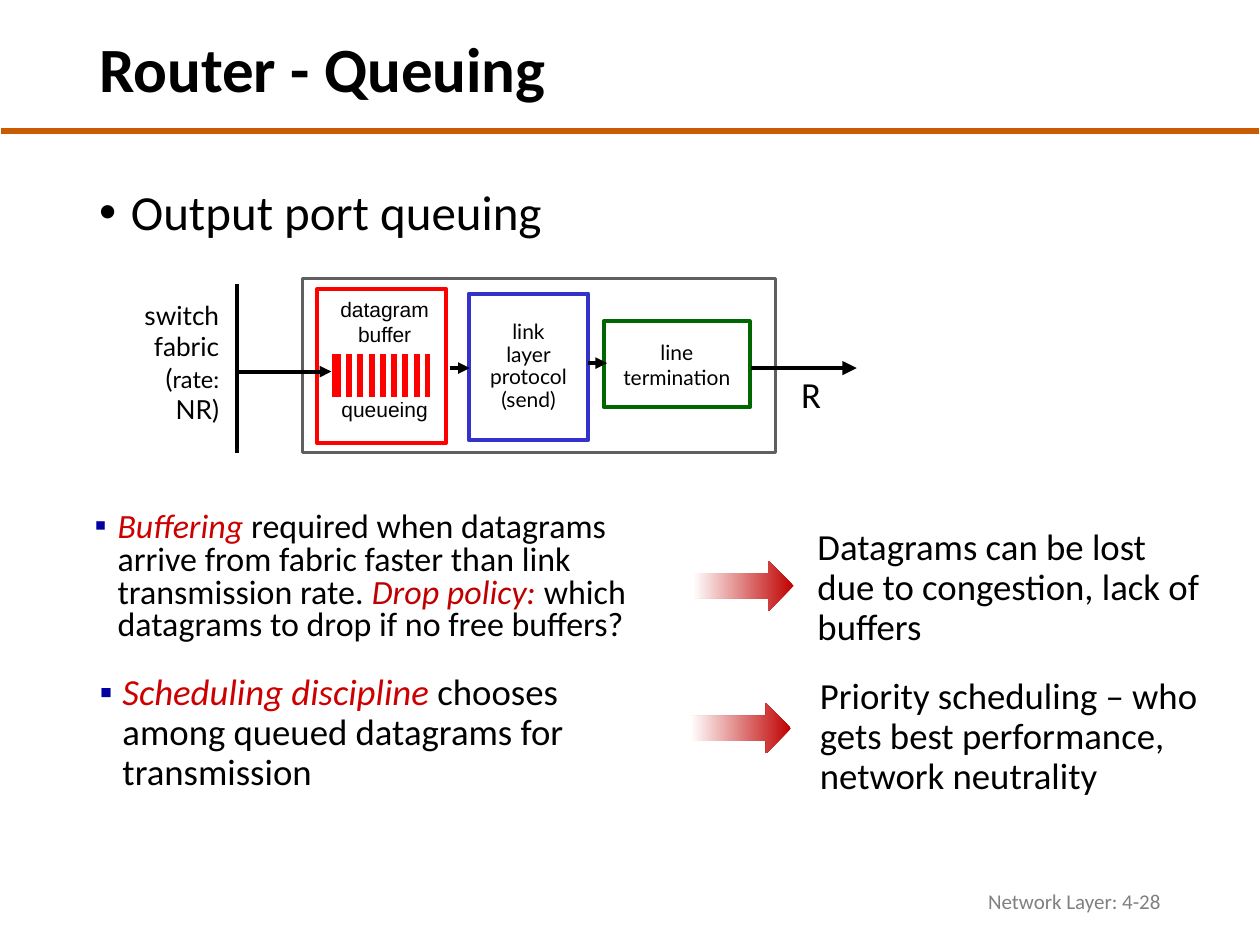
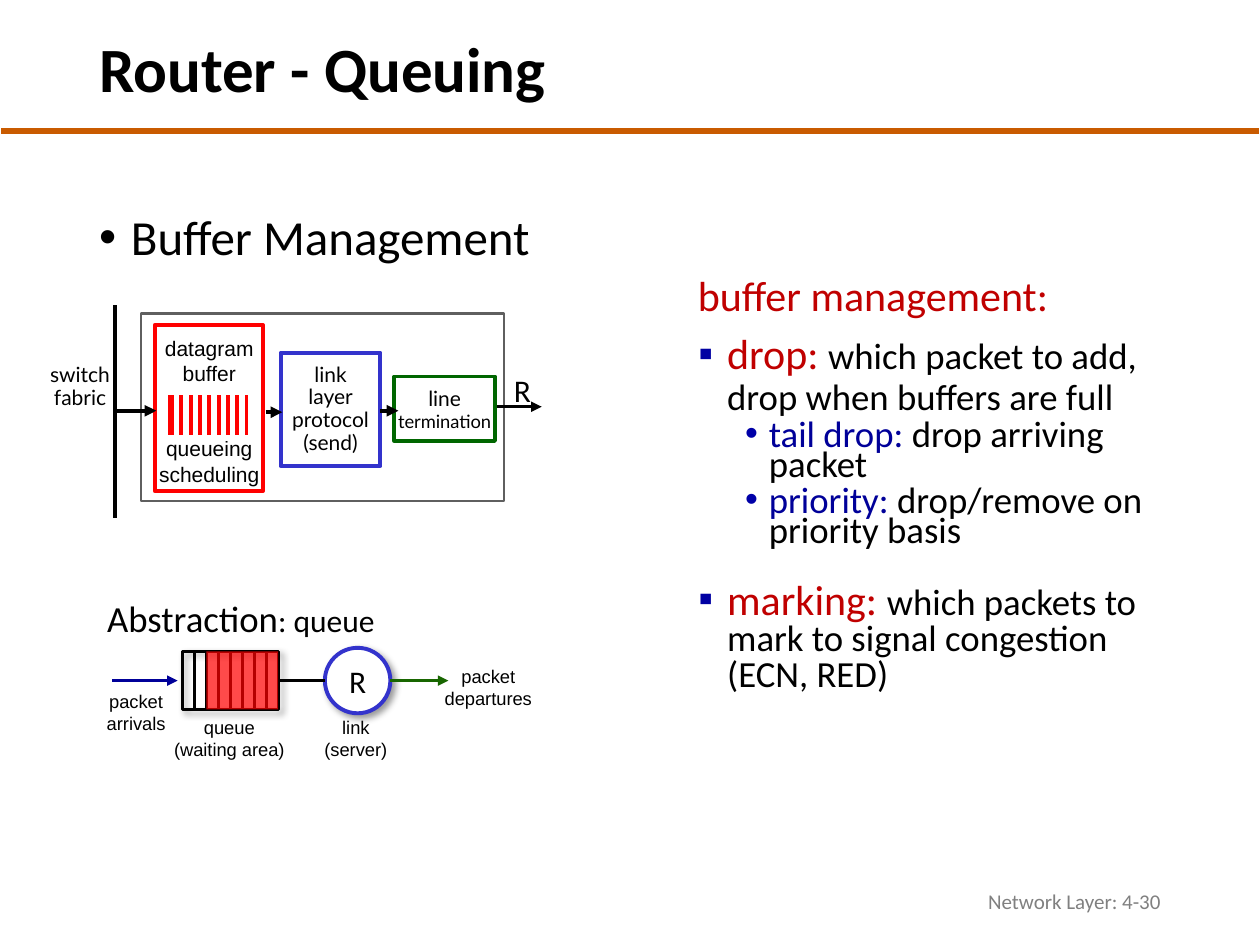
from lxml import etree
from pptx import Presentation
from pptx.dml.color import RGBColor
from pptx.enum.shapes import MSO_CONNECTOR, MSO_SHAPE
from pptx.enum.text import MSO_ANCHOR, PP_ALIGN
from pptx.oxml.ns import qn
from pptx.util import Cm, Pt

LEFT, CENTER, RIGHT = PP_ALIGN.LEFT, PP_ALIGN.CENTER, PP_ALIGN.RIGHT
TOP, MIDDLE = MSO_ANCHOR.TOP, MSO_ANCHOR.MIDDLE
RECT, OVAL, ARROW = MSO_SHAPE.RECTANGLE, MSO_SHAPE.OVAL, MSO_SHAPE.RIGHT_ARROW
STRAIGHT = MSO_CONNECTOR.STRAIGHT


class Theme:
    BODY, DIAGRAM, PLAIN = "Calibri", "Lato", "Arial"
    BLACK, WHITE, GREY, FRAME = "000000", "FFFFFF", "808080", "5F5F5F"
    RULE, RED, CRIMSON, ACCENT = "C95B00", "FF0000", "CC0000", "C00000"
    BLUE, NAVY, BULLET, SUBBULLET = "3333CC", "000099", "0000A3", "0000A8"
    GREEN, DEPARTURE = "006600", "186600"
    TITLE, TOPIC, TERM, TEXT, NOTE = 36, 28, 24, 21, 18
    DENSE, FABRIC, RATE, LABEL, CAPTION = 19.4, 15, 13.5, 12, 10.5


# Content: a paragraph is a string or a dict of runs plus its own format
TITLE = "Router - Queuing"
TIGHT = (0.18, 0.1)
SQUARE = dict(bullet="▪", bullet_color=Theme.BULLET)
SUBPOINT = dict(bullet="•", bullet_color=Theme.SUBBULLET, indent=(1.45, -0.48),
                spacing=Pt(17.1), before=3.8)
TERM = dict(color=Theme.ACCENT, size=Theme.TERM)
KEY = dict(color=Theme.CRIMSON, italic=True)
LINK_STAGE = ["link", "layer", "protocol", "(send)"]

POINTS = [
    ((1.45, 10.24, 12.45, 2.95), Theme.DENSE, 0.8, [
        ("Buffering", KEY),
        " required when datagrams arrive from fabric faster than link transmission rate. ",
        ("Drop policy: ", dict(color=Theme.ACCENT, italic=True)),
        "which datagrams to drop if no free buffers?"]),
    ((1.55, 13.49, 10.69, 2.69), Theme.TEXT, 0.9, [
        ("Scheduling discipline", KEY),
        " chooses among queued datagrams for transmission"]),
]
CONSEQUENCES = [
    ((13.97, 11.3), (16.23, 10.54, 8.23, 2.69),
     "Datagrams can be lost due to congestion, lack of buffers"),
    ((13.92, 14.17), (16.28, 13.54, 8.74, 2.69),
     "Priority scheduling – who gets best performance, network neutrality"),
]
BUFFER_MANAGEMENT = [
    dict(runs=[("buffer management:", TERM)], indent=(0.48, -0.46)),
    dict(runs=[("drop: ", TERM), "which packet to add, drop when buffers are full"],
         indent=(0.61, -0.58), **SQUARE),
    dict(runs=[("tail drop: ", dict(color=Theme.NAVY)), "drop arriving packet"], **SUBPOINT),
    dict(runs=[("priority: ", dict(color=Theme.NAVY)), "drop/remove on priority basis"],
         **SUBPOINT),
]
MARKING = [dict(runs=[("marking: ", TERM),
                      "which packets to mark to signal congestion (ECN, RED)"],
                indent=(0.84, -0.58), **SQUARE)]

# Output ports: boxes are left, top, width, height; arrows are x1, x2, y, weight
QUEUING_PORT = dict(
    frame=(6.1, 5.61, 9.53, 3.51),
    buffer=(6.4, 5.82, 2.59, 3.12),
    link=(9.45, 5.92, 2.41, 2.95),
    line=(12.17, 6.48, 2.95, 1.73),
    line_text=["line", "termination"],
    queue=(6.65, 7.09, 2.08, 0.97),
    buffer_labels=[((6.6, 5.84, 2.31, 1.2), ["datagram", "buffer"]),
                   ((6.6, 7.87, 2.31, 0.75), ["queueing"])],
    fabric=(2.46, 6.43, 2.21, 1.73),
    fabric_text=["switch", "fabric",
                 dict(runs=["(", ("rate: ", dict(size=Theme.RATE)), "NR)"])],
    fabric_format=dict(size=Theme.FABRIC, align=RIGHT),
    bar=(4.78, 5.72, 9.14),
    arrows=[(4.75, 6.68, 7.49, 2.25), (9.07, 9.47, 7.42, 2.25),
            (11.86, 12.24, 7.32, 2.25), (15.14, 17.27, 7.42, 2.75)],
    rate=(15.9, 7.37, 1.14, 1.14), rate_size=Theme.TEXT)
BUFFER_PORT = dict(
    frame=(2.84, 6.32, 7.32, 3.78),
    buffer=(3.12, 6.55, 2.18, 3.35),
    link=(5.66, 7.11, 2.01, 2.29),
    line=(7.95, 7.59, 2.03, 1.3),
    line_text=["line", dict(runs=[("termination", dict(size=Theme.CAPTION))])],
    queue=(3.33, 7.92, 1.73, 0.91),
    buffer_labels=[((2.95, 6.63, 2.54, 1.2), ["datagram", "buffer"]),
                   ((2.95, 8.66, 2.54, 1.2), ["queueing", "scheduling"])],
    fabric=(0.69, 6.99, 1.85, 1.63),
    fabric_text=["switch", "fabric"],
    fabric_format=dict(size=Theme.LABEL, align=CENTER, spacing=0.9),
    bar=(2.31, 6.15, 10.44),
    arrows=[(2.29, 3.15, 8.28, 2.25), (5.36, 5.69, 8.31, 2.25),
            (7.67, 8.03, 8.28, 2.25), (10.01, 10.92, 8.2, 2)],
    rate=(10.11, 7.34, 0.86, 1.02), rate_size=Theme.NOTE)

# Abstract queue
WAITING_AREA, CELLS, FREE_CELLS = (3.68, 13.13, 1.93, 1.17), 8, 2
SERVER = (6.55, 13.06, 1.32, 1.32)
FLOW_Y = 13.72
FLOWS = [(2.26, 3.58, Theme.NAVY, True), (5.64, 6.55, Theme.BLACK, False),
         (7.87, 9.04, Theme.DEPARTURE, True)]
QUEUE_CAPTIONS = [
    ((3.23, 14.3, 2.79, 1.14), ["queue", "(waiting area)"]),
    ((1.88, 13.79, 1.73, 1.14), ["packet", "arrivals"]),
    ((8.69, 13.28, 2.31, 1.14), ["packet", "departures"]),
    ((6.22, 14.3, 1.91, 1.14), ["link", "(server)"]),
]
ABSTRACTION = [dict(runs=["Abstraction", (": queue", dict(size=Theme.NOTE))])]


# Drawing helpers
def cm(lengths):
    return [Cm(length) for length in lengths]


def rgb(color):
    return RGBColor.from_string(color)


def add_xml(parent, tag, **attributes):
    return etree.SubElement(parent, qn(tag), {k: str(v) for k, v in attributes.items()})


def set_bullet(paragraph, bullet, color):
    props = paragraph._p.get_or_add_pPr()
    if color:
        add_xml(add_xml(props, "a:buClr"), "a:srgbClr", val=color)
    add_xml(props, "a:buFont", typeface="Arial")
    add_xml(props, "a:buChar", char=bullet)


def write(shape, paragraphs, anchor=TOP, wrap=True, inset=(0.25, 0.13), **shared):
    """Fill a shape with paragraphs; later formats override the shared one."""
    frame = shape.text_frame
    frame.word_wrap, frame.vertical_anchor = wrap, anchor
    frame.margin_left = frame.margin_right = Cm(inset[0])
    frame.margin_top = frame.margin_bottom = Cm(inset[1])
    for i, content in enumerate(paragraphs):
        if isinstance(content, str):
            content = dict(runs=[content])
        style = {**shared, **content}
        paragraph = frame.add_paragraph() if i else frame.paragraphs[0]
        paragraph.alignment = style.get("align", LEFT)
        paragraph.line_spacing = style.get("spacing", 1.0)
        paragraph.space_before = Pt(style.get("before", 0) if i else 0)
        if "indent" in style:
            margin, first = cm(style["indent"])
            props = paragraph._p.get_or_add_pPr()
            props.set("marL", str(margin))
            props.set("indent", str(first))
        if "bullet" in style:
            set_bullet(paragraph, style["bullet"], style.get("bullet_color"))
        for run_content in style["runs"]:
            text, own = (run_content, {}) if isinstance(run_content, str) else run_content
            look = {**style, **own}
            run = paragraph.add_run()
            run.text = text
            run.font.name = look.get("font", Theme.BODY)
            run.font.size = Pt(look.get("size", Theme.TEXT))
            run.font.bold = look.get("bold", False)
            run.font.italic = look.get("italic", False)
            run.font.color.rgb = rgb(look.get("color", Theme.BLACK))


def add_text(slide, box, paragraphs, **style):
    write(slide.shapes.add_textbox(*cm(box)), paragraphs, **style)


def add_box(slide, box, fill=Theme.WHITE, line=None, weight=2.25, kind=RECT):
    shape = slide.shapes.add_shape(kind, *cm(box))
    shape.shadow.inherit = False
    if fill:
        shape.fill.solid()
        shape.fill.fore_color.rgb = rgb(fill)
    else:
        shape.fill.background()
    if line:
        shape.line.color.rgb = rgb(line)
        shape.line.width = Pt(weight)
    else:
        shape.line.fill.background()
    return shape


def add_line(slide, x1, y1, x2, y2, color=Theme.BLACK, weight=2.25, arrow=False):
    line = slide.shapes.add_connector(STRAIGHT, *cm((x1, y1, x2, y2)))
    line.line.color.rgb = rgb(color)
    line.line.width = Pt(weight)
    if arrow:
        add_xml(line.line._get_or_add_ln(), "a:tailEnd", type="triangle")
    add_xml(line._element.spPr, "a:effectLst")


def cast_shadow(shape):
    effects = shape._element.spPr.find(qn("a:effectLst"))
    shadow = add_xml(effects, "a:outerShdw", blurRad=Pt(4), dist=Pt(3),
                     dir=45 * 60000, rotWithShape=0)
    add_xml(add_xml(shadow, "a:srgbClr", val=Theme.BLACK), "a:alpha", val=40000)


# Slide parts
def start_slide(deck, topic, topic_top, number):
    slide = deck.slides.add_slide(deck.slide_layouts[5])
    add_line(slide, 0.03, 2.64, 25.37, 2.64, Theme.RULE, 3)
    title = slide.shapes.title
    title.left, title.top, title.width, title.height = cm((1.75, 0.38, 20.14, 2.16))
    write(title, [TITLE], anchor=MIDDLE, size=Theme.TITLE, bold=True, spacing=0.9)
    add_text(slide, (1.75, topic_top, 21.89, 1.6), [topic], size=Theme.TOPIC,
             spacing=0.9, bullet="•", indent=(0.64, -0.64))
    add_text(slide, (17.93, 17.65, 5.72, 1.02), [f"Network Layer: {number}"],
             anchor=MIDDLE, align=RIGHT, size=Theme.LABEL, color=Theme.GREY)
    return slide


def draw_output_port(slide, port):
    label = dict(font=Theme.DIAGRAM, size=Theme.LABEL, align=CENTER, anchor=MIDDLE, wrap=False)
    add_box(slide, port["frame"], line=Theme.FRAME, weight=1.5)
    write(add_box(slide, port["line"], line=Theme.GREEN), port["line_text"], **label)
    write(add_box(slide, port["link"], line=Theme.BLUE), LINK_STAGE, spacing=0.9, **label)
    add_text(slide, port["fabric"], port["fabric_text"], **{**label, **port["fabric_format"]})
    add_box(slide, port["buffer"], line=Theme.RED)
    for box, text in port["buffer_labels"]:
        add_text(slide, box, text, font=Theme.PLAIN, size=Theme.LABEL, align=CENTER, wrap=False)
    # Queued datagrams: a red bar cut by eight white stripes
    left, top, width, height = port["queue"]
    add_box(slide, port["queue"], Theme.RED, Theme.WHITE, 3)
    for i in range(8):
        x = left + width * (0.133 + 0.109 * i)
        add_line(slide, x, top, x, top + height, Theme.WHITE, 3)
    bar_x, bar_top, bar_bottom = port["bar"]
    add_line(slide, bar_x, bar_top, bar_x, bar_bottom)
    for x1, x2, y, weight in port["arrows"]:
        add_line(slide, x1, y, x2, y, weight=weight, arrow=True)
    add_text(slide, port["rate"], ["R"], size=port["rate_size"], wrap=False)


def draw_consequence(slide, arrow_at, box, text):
    add_text(slide, box, [text], spacing=0.9)
    arrow = add_box(slide, (*arrow_at, 2.03, 1.02), kind=ARROW)
    arrow.fill.gradient()
    arrow.fill.gradient_angle = 180
    for stop, color in zip(arrow.fill.gradient_stops, (Theme.ACCENT, Theme.WHITE)):
        stop.color.rgb = rgb(color)


def draw_abstract_queue(slide):
    left, top, width, height = WAITING_AREA
    cell = width / CELLS
    cast_shadow(add_box(slide, WAITING_AREA, None, Theme.BLACK, 1.5))
    for i in range(1, CELLS):
        x = left + i * cell
        add_line(slide, x, top, x, top + height, weight=1.5)
    waiting = add_box(slide, (left + FREE_CELLS * cell, top,
                              (CELLS - FREE_CELLS) * cell, height), Theme.RED)
    fill_color = waiting._element.spPr.find(qn("a:solidFill"))[0]
    add_xml(fill_color, "a:alpha", val=71000)
    server = add_box(slide, SERVER, line=Theme.BLUE, kind=OVAL)
    cast_shadow(server)
    write(server, ["R"], size=Theme.NOTE, align=CENTER, anchor=MIDDLE, wrap=False)
    for x1, x2, color, arrow in FLOWS:
        add_line(slide, x1, FLOW_Y, x2, FLOW_Y, color, 2, arrow)
    for box, text in QUEUE_CAPTIONS:
        add_text(slide, box, text, font=Theme.PLAIN, size=Theme.CAPTION,
                 align=CENTER, wrap=False)
    add_text(slide, (1.91, 11.89, 5.97, 1.14), ABSTRACTION, wrap=False)


def main():
    deck = Presentation()
    deck.slide_width, deck.slide_height = cm((25.4, 19.05))

    # Output port queuing
    queuing = start_slide(deck, "Output port queuing", 3.66, "4-28")
    for box, size, spacing, runs in POINTS:
        add_text(queuing, box, [dict(runs=runs)], inset=TIGHT, size=size,
                 spacing=spacing, indent=(0.74, -0.46), **SQUARE)
    for consequence in CONSEQUENCES:
        draw_consequence(queuing, *consequence)
    draw_output_port(queuing, QUEUING_PORT)

    # Buffer management
    management = start_slide(deck, "Buffer Management", 4.17, "4-30")
    add_text(management, (13.87, 5.44, 10.34, 10.44), BUFFER_MANAGEMENT,
             inset=TIGHT, spacing=0.9, before=7.5)
    add_text(management, (13.64, 11.66, 10.34, 2.54), MARKING, inset=TIGHT, spacing=0.8)
    draw_output_port(management, BUFFER_PORT)
    draw_abstract_queue(management)

    deck.save("out.pptx")


if __name__ == "__main__":
    main()
